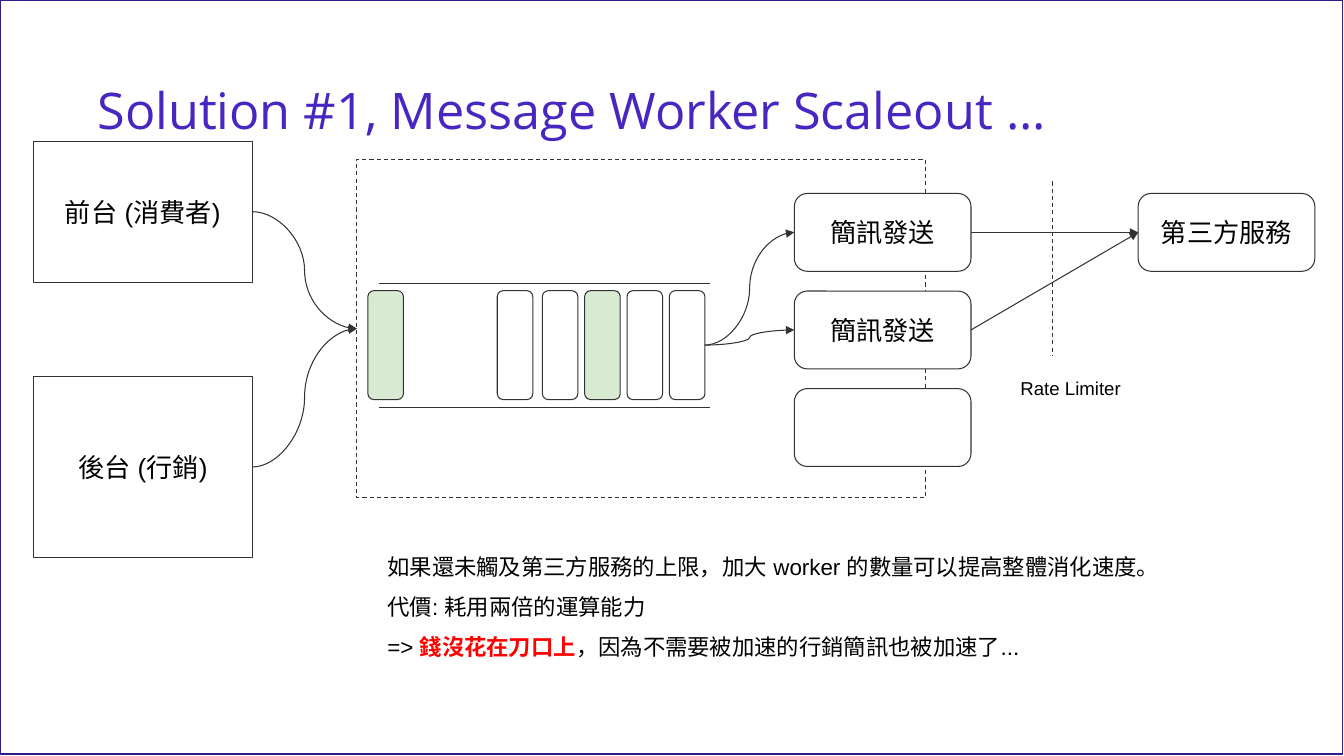
from pptx import Presentation
from pptx import util as u
from pptx.dml.color import RGBColor
from pptx.enum import dml, shapes, text
from pptx.oxml import ns
from lxml import etree

TOP, LEFT, BOTTOM, RIGHT = range(4)


def color(hex_code):
    return RGBColor.from_string(hex_code)


class Sketch:
    """Style of the diagram and the slide it is drawn on."""
    ink, plain, marked = "333333", "FFFFFF", "D9EAD3"
    body_font, body_color = "Arial", "000000"
    inset = 9.6

    def __init__(self, page):
        self.page = page

    def stroke(self, item, dashed=False, hex_code=ink, width=0.75):
        item.line.color.rgb = color(hex_code)
        item.line.width = u.Pt(width)
        if dashed:
            item.line.dash_style = dml.MSO_LINE.DASH

    def set_text(self, frame, paragraphs, size, anchor, align=None, spacing=None,
                 inset=inset, font=body_font, hex_code=body_color):
        """Each paragraph is a list of runs: a string, or (string, bold colour)."""
        frame.word_wrap = True
        frame.vertical_anchor = anchor
        frame.margin_left = frame.margin_right = u.Pt(inset)
        frame.margin_top = frame.margin_bottom = u.Pt(inset)
        for index, runs in enumerate(paragraphs):
            para = frame.add_paragraph() if index else frame.paragraphs[0]
            para.alignment = align
            para.line_spacing = spacing
            for run in runs:
                words, accent = run if isinstance(run, tuple) else (run, None)
                span = para.add_run()
                span.text = words
                span.font.size = u.Pt(size)
                span.font.bold = accent is not None
                span.font.color.rgb = color(accent or hex_code)
                span.font.name = font
                east_asian = etree.SubElement(span.font._element, ns.qn("a:ea"))
                east_asian.set("typeface", font)

    def box(self, left, top, width, height, label=None, fill=plain,
            rounded=False, dashed=False):
        kind = shapes.MSO_SHAPE.ROUNDED_RECTANGLE if rounded else shapes.MSO_SHAPE.RECTANGLE
        box = self.page.shapes.add_shape(
            kind, u.Pt(left), u.Pt(top), u.Pt(width), u.Pt(height))
        box.shadow.inherit = False
        if fill:
            box.fill.solid()
            box.fill.fore_color.rgb = color(fill)
        else:
            box.fill.background()
        self.stroke(box, dashed)
        if label:
            self.set_text(box.text_frame, [[label]], 18.7,
                          text.MSO_ANCHOR.MIDDLE, text.PP_ALIGN.CENTER)
        return box

    def words(self, left, top, width, height, paragraphs, size,
              anchor=text.MSO_ANCHOR.TOP, **style):
        box = self.page.shapes.add_textbox(
            u.Pt(left), u.Pt(top), u.Pt(width), u.Pt(height))
        self.set_text(box.text_frame, paragraphs, size, anchor, **style)

    def line(self, x1, y1, x2, y2, dashed=False, kind=shapes.MSO_CONNECTOR.STRAIGHT):
        line = self.page.shapes.add_connector(
            kind, u.Pt(x1), u.Pt(y1), u.Pt(x2), u.Pt(y2))
        self.stroke(line, dashed)
        etree.SubElement(line._element.spPr, ns.qn("a:effectLst"))
        return line

    def arrow(self, source, target, kind=shapes.MSO_CONNECTOR.STRAIGHT):
        """Arrow from the right side of one box to the left side of another."""
        arrow = self.line(0, 0, 0, 0, kind=kind)
        arrow.begin_connect(source, RIGHT)
        arrow.end_connect(target, LEFT)
        head = etree.SubElement(arrow.get_or_add_ln(), ns.qn("a:tailEnd"))
        head.set("type", "triangle")


def main():
    deck = Presentation()
    deck.slide_width, deck.slide_height = u.Pt(960), u.Pt(540)
    page = deck.slides.add_slide(deck.slide_layouts[6])
    sketch = Sketch(page)
    curve = shapes.MSO_CONNECTOR.CURVE

    # Page border and title
    border = sketch.box(0, 0, 959, 538.6, fill=None)
    sketch.stroke(border, hex_code="321B86", width=1)
    sketch.words(66, 28.8, 828, 104.4, [["Solution #1, Message Worker Scaleout ..."]],
                 36, text.MSO_ANCHOR.MIDDLE, spacing=0.9, inset=3.6,
                 font="Open Sans", hex_code="4826C1")

    # System frame and message queue
    system = sketch.box(254.9, 113.8, 406.1, 241.9, dashed=True)
    for y in (202.2, 291.4):
        sketch.line(270.8, y, 507, y)
    slots = [(262.8, sketch.marked), (355.2, sketch.plain)]
    slots += [(387.4 + 30.25 * i, sketch.marked if i == 1 else sketch.plain)
              for i in range(4)]
    for left, fill in slots:
        last_message = sketch.box(left, 207.6, 25.4, 77.8, fill=fill, rounded=True)

    # Senders feeding the system
    for label, top, height in (("前台 (消費者)", 100.8, 100.8),
                               ("後台 (行銷)", 268.8, 129.6)):
        sender = sketch.box(23.8, top, 156.4, height, label)
        sketch.arrow(sender, system, curve)

    # Workers and the third-party service
    worker_size = (126.2, 55.6)
    service = sketch.box(813, 138.2, *worker_size, "第三方服務", rounded=True)
    for i, label in enumerate(("簡訊發送", "簡訊發送", None)):
        worker = sketch.box(567.4, 138.2 + 69.7 * i, *worker_size, label, rounded=True)
        if label:
            sketch.arrow(last_message, worker, curve)
            sketch.arrow(worker, service)

    # Rate limiter
    sketch.line(751.8, 129.6, 751.8, 253.6, dashed=True)
    sketch.words(719.3, 261.4, 106.6, 47.5, [["Rate Limiter"]], 13.3)

    # Conclusion
    sketch.words(267.1, 375.8, 656.6, 100.8, [
        ["如果還未觸及第三方服務的上限，加大 worker 的數量可以提高整體消化速度。"],
        ["代價: 耗用兩倍的運算能力"],
        ["=> ", ("錢沒花在刀口上", "FF0000"), "，因為不需要被加速的行銷簡訊也被加速了..."],
    ], 16, spacing=1.5)

    deck.save("out.pptx")


if __name__ == "__main__":
    main()
